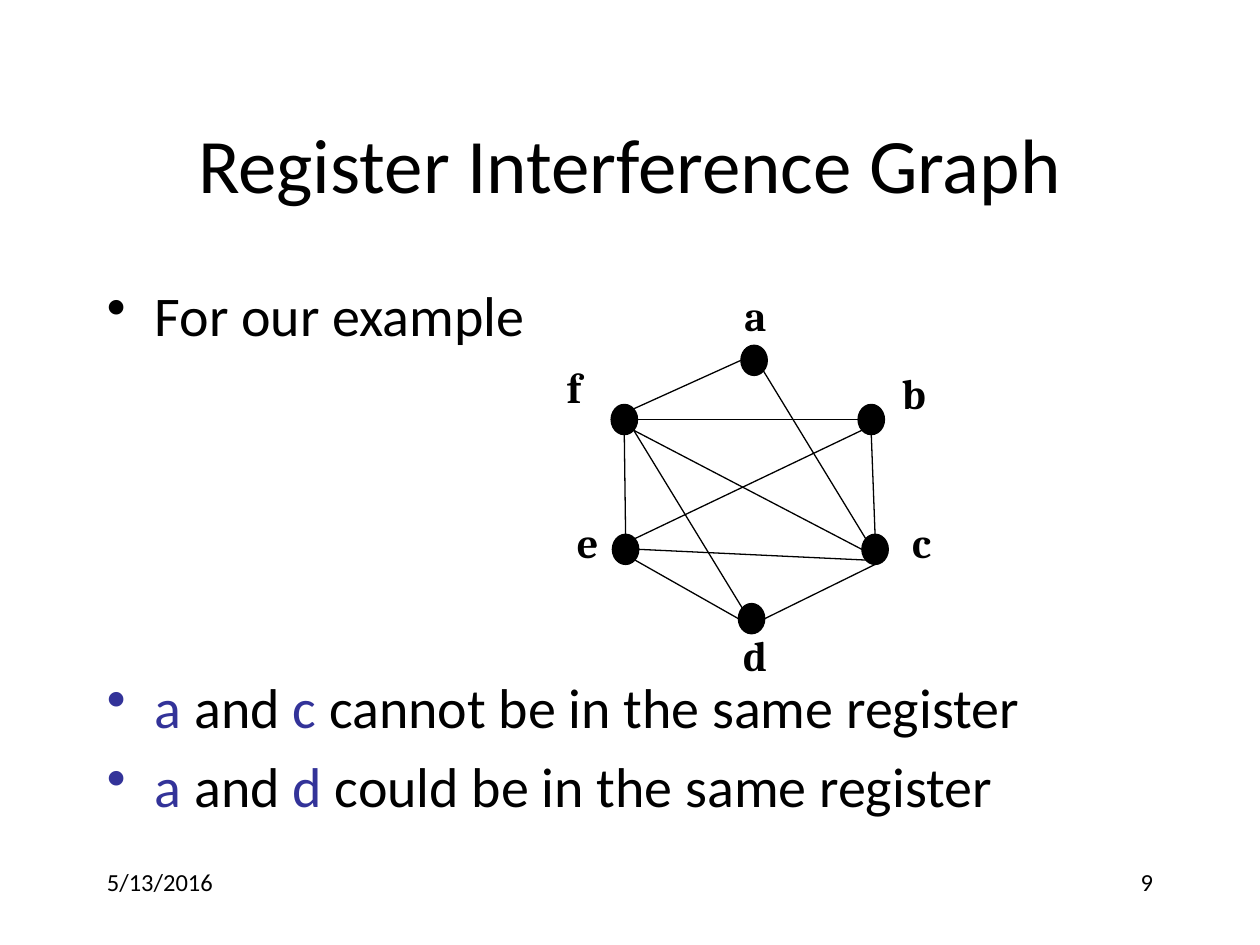
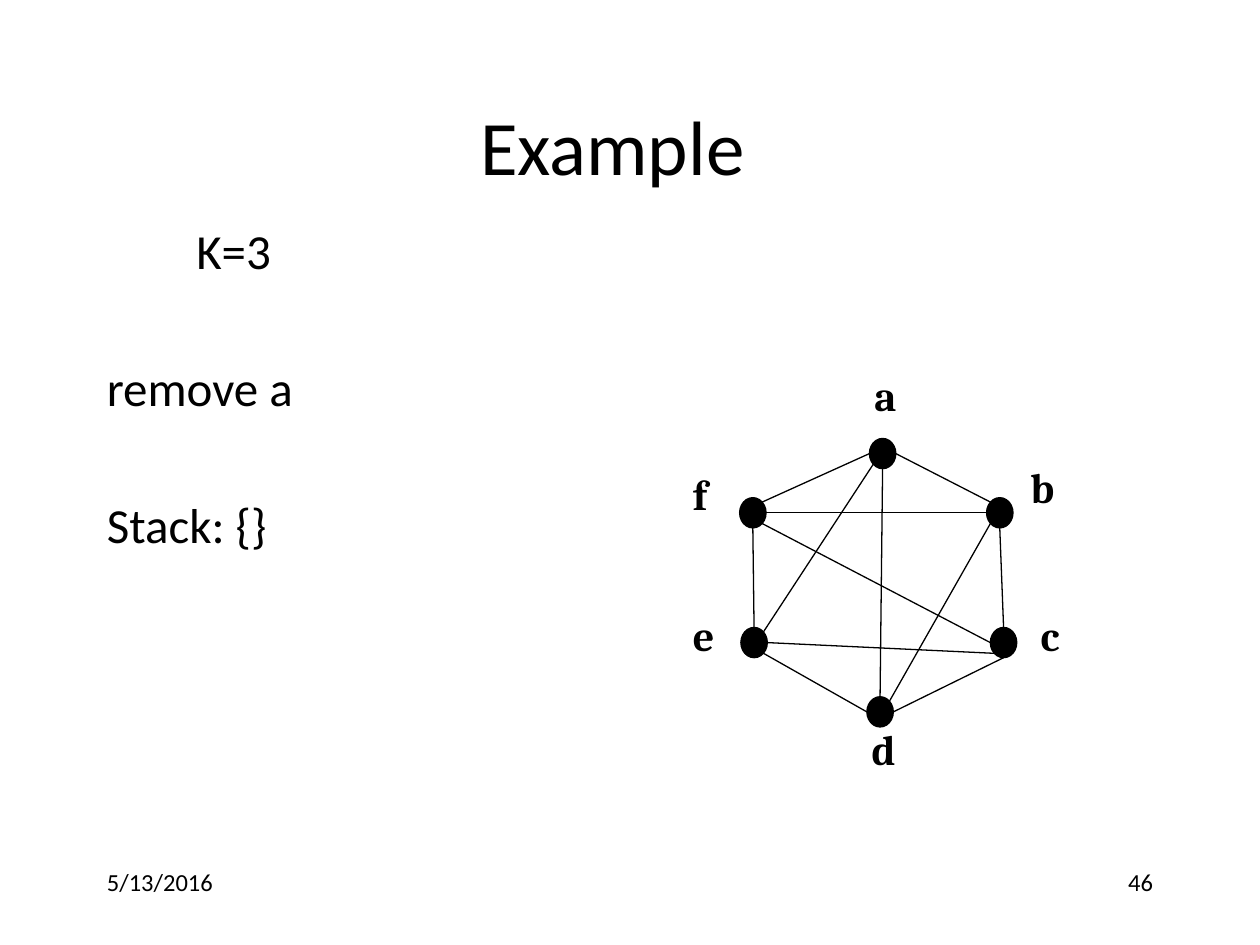
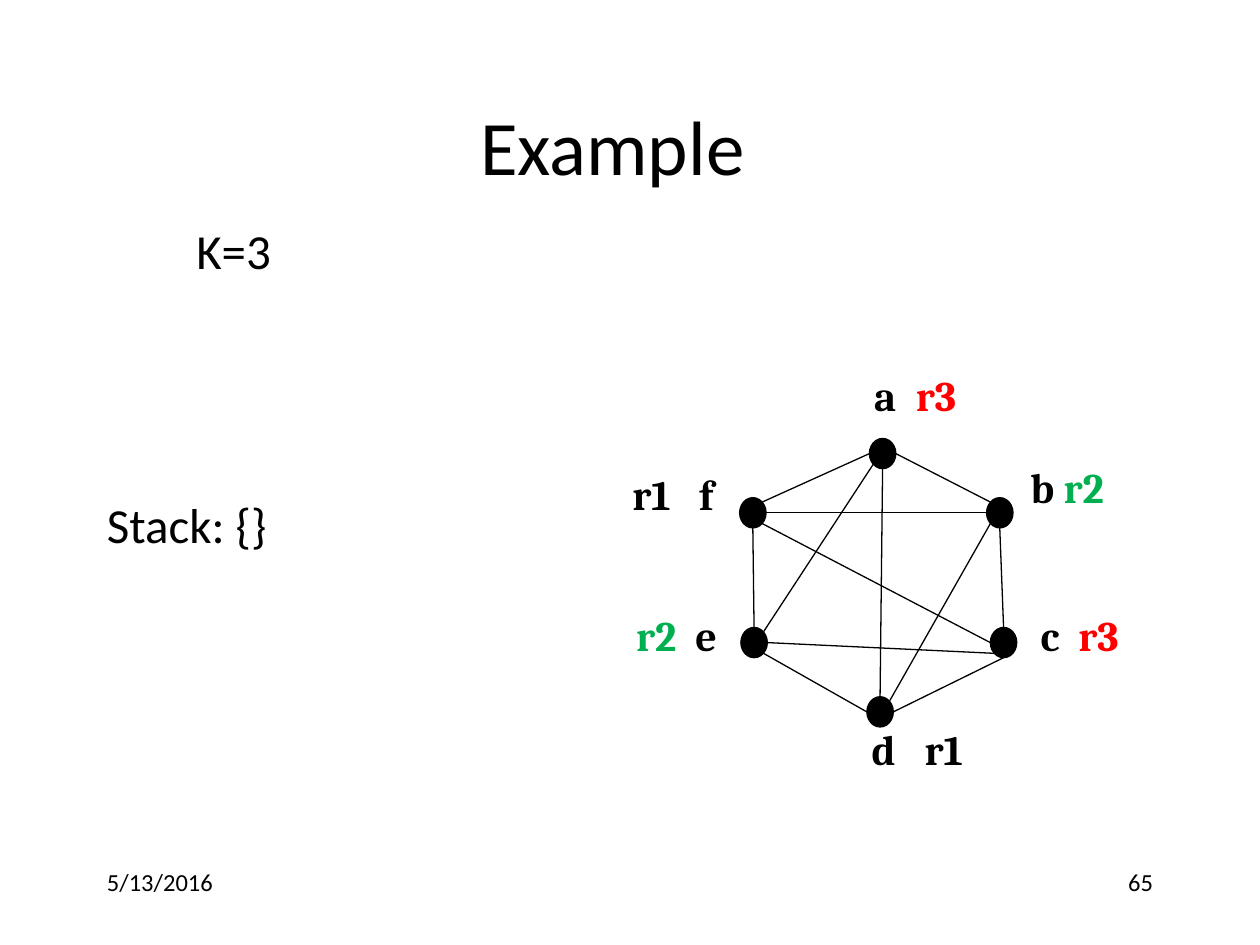
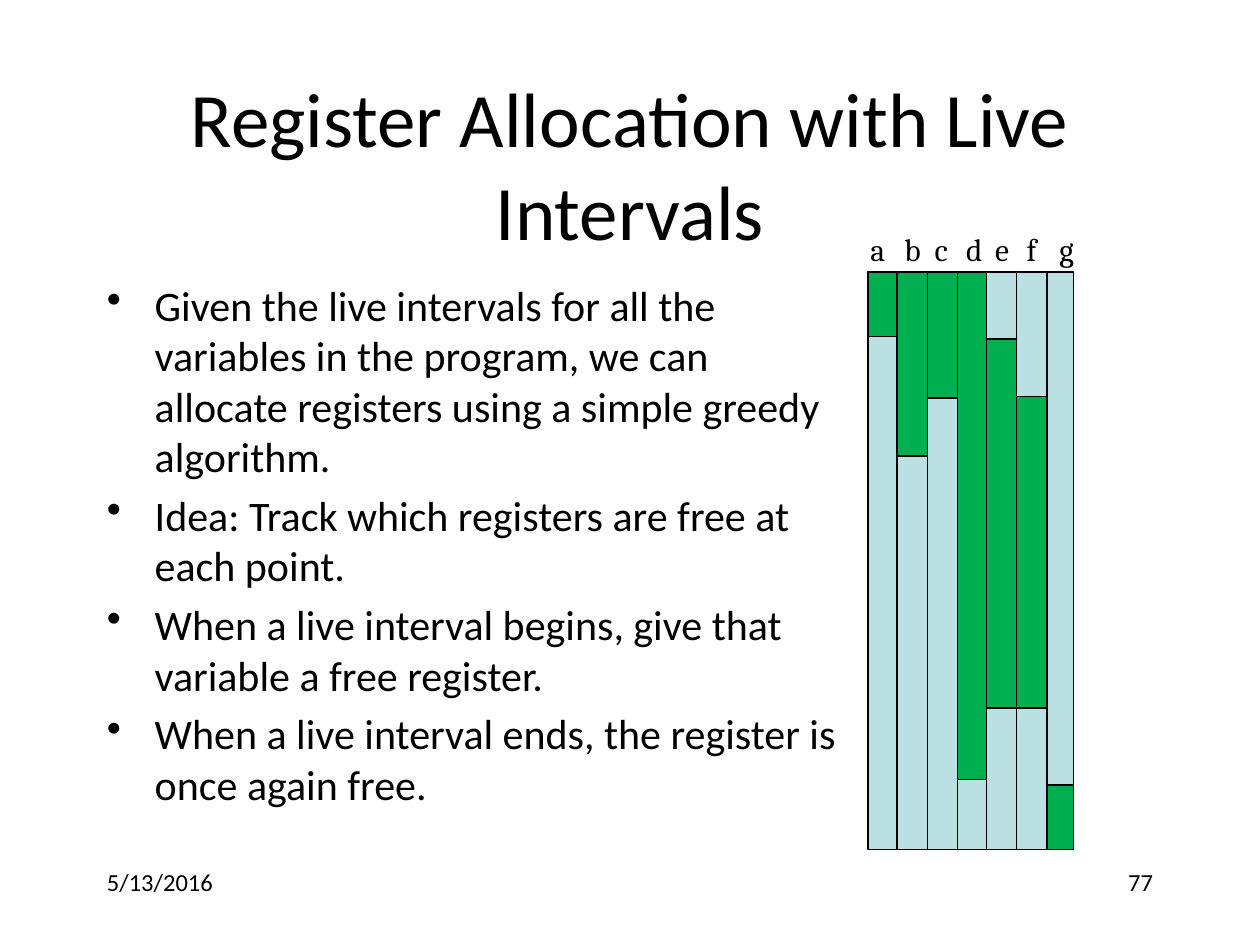
from dataclasses import dataclass
from typing import NamedTuple

from lxml.etree import SubElement
from pptx import Presentation
from pptx.dml.color import RGBColor
from pptx.enum.shapes import MSO_CONNECTOR, MSO_SHAPE
from pptx.enum.text import MSO_ANCHOR, MSO_AUTO_SIZE, PP_ALIGN
from pptx.oxml.ns import qn
from pptx.util import Emu, Pt

SCALE = 9144  # EMU in one px, 100 px to the inch
COLORS = {
    "ink": "000000",
    "blue": "333399",
    "green": "00B050",
    "red": "FF0000",
    "pale": "BBE0E3",
}
SANS, SERIF = "Calibri", "Cambria"
LINE = 0.75
DATE = "5/13/2016"


class Box(NamedTuple):
    left: int
    top: int
    width: int
    height: int


class Run(NamedTuple):
    text: str
    color: str = "ink"


@dataclass(frozen=True)
class Para:
    """A paragraph; skip is the number of empty lines to leave above it."""
    runs: tuple[Run, ...]
    skip: int = 0
    bullet: bool = False
    indent: int = 0
    tab: int = 0


class Label(NamedTuple):
    left: int
    top: int
    width: int
    para: Para


class Edge(NamedTuple):
    start: str
    leave: str
    end: str
    enter: str


class Bar(NamedTuple):
    name: str
    left: int
    start: int
    span: int


def px(value: float) -> Emu:
    return Emu(round(value * SCALE))


def place(box: Box) -> list[Emu]:
    return [px(value) for value in box]


def rgb(name: str) -> RGBColor:
    return RGBColor.from_string(COLORS[name])


def para(*runs: str | Run, **form) -> Para:
    return Para(tuple(Run(r) if isinstance(r, str) else r for r in runs), **form)


def write(frame, *paras: Para, size: int, face: str = SANS,
          bold: bool = False, align=PP_ALIGN.LEFT) -> None:
    frame.word_wrap = True
    for i, item in enumerate(paras):
        line = frame.add_paragraph() if i else frame.paragraphs[0]
        line.alignment = align
        if i:
            line.space_before = Pt(round(size * (0.2 + 1.4 * item.skip), 1))
        props = line._p.get_or_add_pPr()
        if item.bullet or item.indent:
            props.set("marL", str(px(item.indent or 38)))
            props.set("indent", str(px(-38 if item.bullet else 0)))
        if item.bullet:
            SubElement(props, qn("a:buChar"), char="•")
        if item.tab:
            stops = SubElement(props, qn("a:tabLst"))
            SubElement(stops, qn("a:tab"), pos=str(px(item.tab)), algn="l")
        for text, color in item.runs:
            run = line.add_run()
            run.text = text
            font = run.font
            font.size, font.name, font.bold = Pt(size), face, bold
            font.color.rgb = rgb(color)


def note(slide, box: Box, *paras: Para, **form) -> None:
    """Add a text box."""
    write(slide.shapes.add_textbox(*place(box)).text_frame, *paras, **form)


def shape(slide, kind: MSO_SHAPE, box: Box, fill: str) -> None:
    item = slide.shapes.add_shape(kind, *place(box))
    item.shadow.inherit = False
    item.fill.solid()
    item.fill.fore_color.rgb = rgb(fill)
    item.line.color.rgb = rgb("ink")
    item.line.width = Pt(LINE)


def page(deck, title: str, number: int, top: int = 67, pad: int = 10):
    """Add a slide with its title, date and number."""
    slide = deck.slides.add_slide(deck.slide_layouts[5])
    head = slide.shapes.title
    head.left, head.top, head.width, head.height = place(Box(75, top, 850, 125))
    frame = head.text_frame
    frame.auto_size = MSO_AUTO_SIZE.NONE
    frame.vertical_anchor = MSO_ANCHOR.MIDDLE
    frame.margin_right = px(pad)
    write(frame, para(title), size=44, align=PP_ALIGN.CENTER)
    note(slide, Box(75, 683, 208, 50), para(DATE), size=14)
    note(slide, Box(717, 683, 208, 50), para(str(number)), size=14,
         align=PP_ALIGN.RIGHT)
    return slide


# Interference graph: node corners, and sides as steps from a node's centre
NODE_W, NODE_H = 21, 24
NODES = {
    "a": (588, 274), "b": (681, 321), "c": (684, 424),
    "d": (586, 479), "e": (486, 424), "f": (485, 321),
}
DIAG = 0.71
SIDES = {
    "n": (0, -1), "s": (0, 1), "w": (-1, 0), "e": (1, 0),
    "nw": (-DIAG, -DIAG), "ne": (DIAG, -DIAG),
    "sw": (-DIAG, DIAG), "se": (DIAG, DIAG),
}
CORE = [
    Edge("a", "w", "f", "ne"), Edge("e", "n", "f", "s"),
    Edge("d", "w", "e", "se"), Edge("b", "w", "f", "e"),
    Edge("c", "w", "f", "se"), Edge("b", "s", "c", "n"),
    Edge("c", "sw", "e", "e"), Edge("c", "s", "d", "e"),
]
FIRST = CORE + [
    Edge("d", "nw", "f", "se"), Edge("a", "se", "c", "nw"),
    Edge("b", "sw", "e", "ne"),
]
SECOND = CORE + [
    Edge("b", "sw", "d", "ne"), Edge("a", "e", "b", "nw"),
    Edge("a", "sw", "e", "ne"), Edge("a", "s", "d", "n"),
]
SHIFT = (102, 74)


def graph(slide, edges: list[Edge], labels: list[Label],
          shift: tuple[int, int] = (0, 0)) -> None:
    dx, dy = shift

    def port(node: str, side: str) -> tuple[Emu, Emu]:
        (x, y), (sx, sy) = NODES[node], SIDES[side]
        return (px(x + dx + NODE_W / 2 * (1 + sx)),
                px(y + dy + NODE_H / 2 * (1 + sy)))

    for x, y in NODES.values():
        shape(slide, MSO_SHAPE.OVAL, Box(x + dx, y + dy, NODE_W, NODE_H), "ink")
    for left, top, width, text in labels:
        note(slide, Box(left, top, width, 50), text,
             size=24, face=SERIF, bold=True)
    for edge in edges:
        line = slide.shapes.add_connector(
            MSO_CONNECTOR.STRAIGHT,
            *port(edge.start, edge.leave), *port(edge.end, edge.enter))
        line.line.color.rgb = rgb("ink")
        line.line.width = Pt(LINE)
        SubElement(line._element.spPr, qn("a:effectLst"))


def build_intro(deck) -> None:
    slide = page(deck, "Register Interference Graph", 9)
    a, c, d = (Run(name, "blue") for name in "acd")
    note(slide, Box(75, 218, 850, 450),
         para("For our example", bullet=True),
         para(a, " and ", c, " cannot be in the same register",
              skip=4, bullet=True),
         para(a, " and ", d, " could be in the same register", bullet=True),
         size=32)
    spots = {"a": (581, 225), "b": (706, 287), "c": (714, 405),
             "d": (580, 495), "e": (448, 405), "f": (440, 282)}
    graph(slide, FIRST,
          [Label(x, y, 54, para(name)) for name, (x, y) in spots.items()])


def build_step(deck, number: int, steps: list[Para], labels: list[Label]) -> None:
    """Add one step of the colouring example."""
    slide = page(deck, "Example", number, top=52, pad=38)
    note(slide, Box(75, 170, 866, 450), para("K=3", indent=71), *steps, size=28)
    graph(slide, SECOND, labels, SHIFT)


def build_remove(deck) -> None:
    build_step(
        deck, 46,
        [para("remove a", skip=1), para("Stack: {}", skip=1)],
        [Label(684, 288, 99, para("a")),
         Label(808, 361, 86, para("b")),
         Label(816, 479, 101, para("c")),
         Label(682, 569, 101, para("d")),
         Label(511, 479, 84, para("e", indent=29)),
         Label(511, 367, 92, para("f", indent=29))])


def build_assign(deck) -> None:
    r2, r3 = Run("r2", "green"), Run("r3", "red")
    build_step(
        deck, 65,
        [para("Stack: {}", skip=3)],
        [Label(684, 288, 167, para("a\t", r3, tab=33)),
         Label(808, 361, 86, para("b ", r2)),
         Label(816, 479, 172, para("c\t", r3, tab=30)),
         Label(682, 569, 101, para("d\tr1", tab=42)),
         Label(495, 479, 84, para(r2, "\te", tab=47)),
         Label(492, 367, 92, para("r1\tf", tab=53))])


BARS = [
    Bar("a", 681, 216, 51), Bar("b", 708, 216, 146), Bar("c", 732, 216, 100),
    Bar("d", 757, 216, 403), Bar("e", 780, 269, 293), Bar("f", 805, 315, 247),
    Bar("g", 831, 623, 51),
]


def build_live(deck) -> None:
    slide = page(deck, "Register Allocation with Live Intervals", 77)
    points = [
        "Given the live intervals for all the variables in the program, "
        "we can allocate registers using a simple greedy algorithm.",
        "Idea: Track which registers are free at each point.",
        "When a live interval begins, give that variable a free register.",
        "When a live interval ends, the register is once again free.",
    ]
    note(slide, Box(75, 217, 606, 450),
         *(para(text, bullet=True) for text in points), size=24)
    for i, bar in enumerate(BARS):
        left = 689 + 71 * i // 3
        width = 21 if bar is BARS[-1] else 24
        shape(slide, MSO_SHAPE.RECTANGLE, Box(left, 216, width, 458), "pale")
        shape(slide, MSO_SHAPE.RECTANGLE,
              Box(left, bar.start, width, bar.span), "green")
        note(slide, Box(bar.left, 178, 47, 40), para(bar.name),
             size=18, face=SERIF)


def main() -> None:
    deck = Presentation()
    deck.slide_width, deck.slide_height = px(1000), px(750)
    for build in (build_intro, build_remove, build_assign, build_live):
        build(deck)
    deck.save("out.pptx")


if __name__ == "__main__":
    main()
